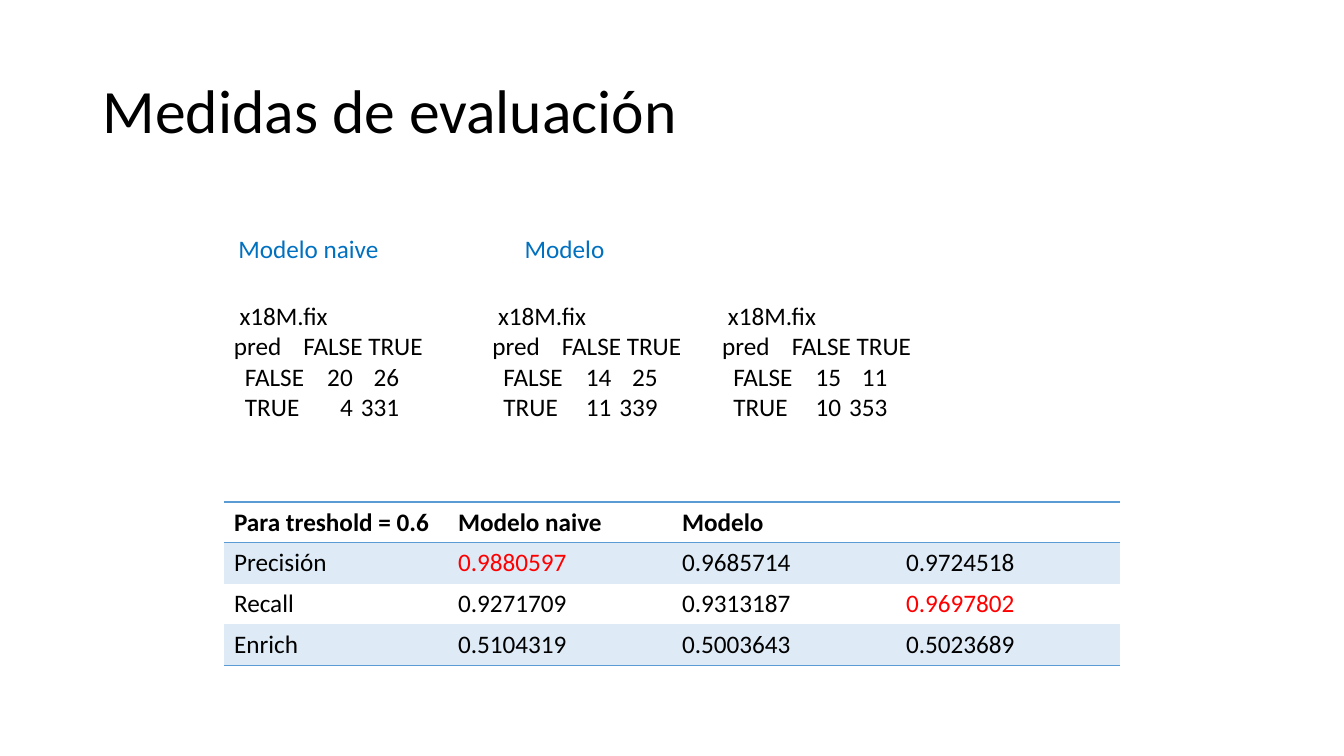
from pptx import Presentation
from pptx.dml.color import RGBColor
from pptx.enum.text import MSO_ANCHOR as Anchor
from pptx.oxml import parse_xml
from pptx.oxml.ns import nsdecls, qn
from pptx.util import Inches, Pt

BLACK = RGBColor(0x00, 0x00, 0x00)
BLUE = RGBColor(0x00, 0x70, 0xC0)
RED = RGBColor(0xFF, 0x00, 0x00)
RULE = RGBColor(0x5B, 0x9B, 0xD5)
BAND = RGBColor(0xDE, 0xEB, 0xF7)
PLAIN_TABLE = "{2D5ABB26-0587-4C30-8999-92F81FD0307C}"
MATRIX_TABS = [(0.11, "l"), (0.69, "l"), (1.18, "r"), (1.64, "r")]


class SlideBuilder:
    """Holds the style and the slide; boxes are shares of the slide's size."""

    font, size = "Calibri", 18

    def __init__(self, prs):
        self.width, self.height = prs.slide_width, prs.slide_height
        self.s = prs.slides.add_slide(prs.slide_layouts[6])

    def box(self, x, y, w, h):
        return (int(x * self.width), int(y * self.height),
                int(w * self.width), int(h * self.height))

    def style(self, p, color=BLACK, size=None, bold=False):
        p.font.name, p.font.size = self.font, Pt(size or self.size)
        p.font.bold, p.font.color.rgb = bold, color

    def text(self, lines, x, y, w, h, color=BLACK, size=None):
        tf = self.s.shapes.add_textbox(*self.box(x, y, w, h)).text_frame
        tf.word_wrap = True
        tf.text = "\n".join(lines)
        for p in tf.paragraphs:
            self.style(p, color, size)
        return tf

    def title(self, text, x, y, w, h):
        tf = self.text([text], x, y, w, h, size=44)
        tf.vertical_anchor = Anchor.MIDDLE
        tf.paragraphs[0].line_spacing = 0.9

    def matrix(self, counts, x, y, w, h):
        """Confusion matrix, its columns set by tab stops."""
        (ff, ft), (tf_, tt) = counts
        tf = self.text([" x18M.fix", "pred\tFALSE TRUE",
                        f"\tFALSE\t{ff}\t{ft}", f"\tTRUE\t{tf_}\t{tt}"], x, y, w, h)
        for i, p in enumerate(tf.paragraphs):
            stops = MATRIX_TABS[1:2] if i < 2 else MATRIX_TABS[:1] + MATRIX_TABS[2:]
            tabs = "".join(f'<a:tab pos="{Inches(pos)}" algn="{side}"/>'
                           for pos, side in stops)
            p.font._element.addprevious(
                parse_xml(f'<a:tabLst {nsdecls("a")}>{tabs}</a:tabLst>'))

    def rule(self, cell, side):
        cell._tc.get_or_add_tcPr().append(parse_xml(
            f'<a:ln{side} {nsdecls("a")} w="{Pt(1)}"><a:solidFill>'
            f'<a:srgbClr val="{RULE}"/></a:solidFill></a:ln{side}>'))

    def table(self, rows, red, x, y, w, h):
        frame = self.s.shapes.add_table(len(rows), len(rows[0]), *self.box(x, y, w, h))
        table = frame.table
        table.first_row = table.horz_banding = False
        table._tbl.tblPr.find(qn("a:tableStyleId")).text = PLAIN_TABLE
        for r, row in enumerate(rows):
            for c, value in enumerate(row):
                cell = table.cell(r, c)
                cell.text = value
                self.style(cell.text_frame.paragraphs[0],
                           RED if (r, c) in red else BLACK, bold=r == 0)
                # Rules around the header and under the last row
                if r == 0:
                    self.rule(cell, "T")
                if r in (0, len(rows) - 1):
                    self.rule(cell, "B")
                # Bands on odd rows
                if r % 2:
                    cell.fill.solid()
                    cell.fill.fore_color.rgb = BAND
                else:
                    cell.fill.background()


def main():
    prs = Presentation()
    prs.slide_width, prs.slide_height = Inches(13.333), Inches(7.5)
    sb = SlideBuilder(prs)

    # Title
    sb.title("Medidas de evaluación", 0.069, 0.053, 0.862, 0.193)

    # Model headings
    for name, x, w in [("Modelo naive", 0.17, 0.18), ("Modelo", 0.383, 0.08)]:
        sb.text([name], x, 0.302, w, 0.054, color=BLUE)

    # Confusion matrices
    for counts, x in [(((20, 26), (4, 331)), 1 / 6),
                      (((14, 25), (11, 339)), 0.359),
                      (((15, 11), (10, 353)), 0.53)]:
        sb.matrix(counts, x, 0.391, 0.165, 0.175)

    # Measures
    sb.table([["Para treshold = 0.6", "Modelo naive", "Modelo", ""],
              ["Precisión", "0.9880597", "0.9685714", "0.9724518"],
              ["Recall", "0.9271709", "0.9313187", "0.9697802"],
              ["Enrich", "0.5104319", "0.5003643", "0.5023689"]],
             {(1, 1), (2, 3)}, 1 / 6, 0.664, 2 / 3, 0.216)

    prs.save("out.pptx")


if __name__ == "__main__":
    main()
